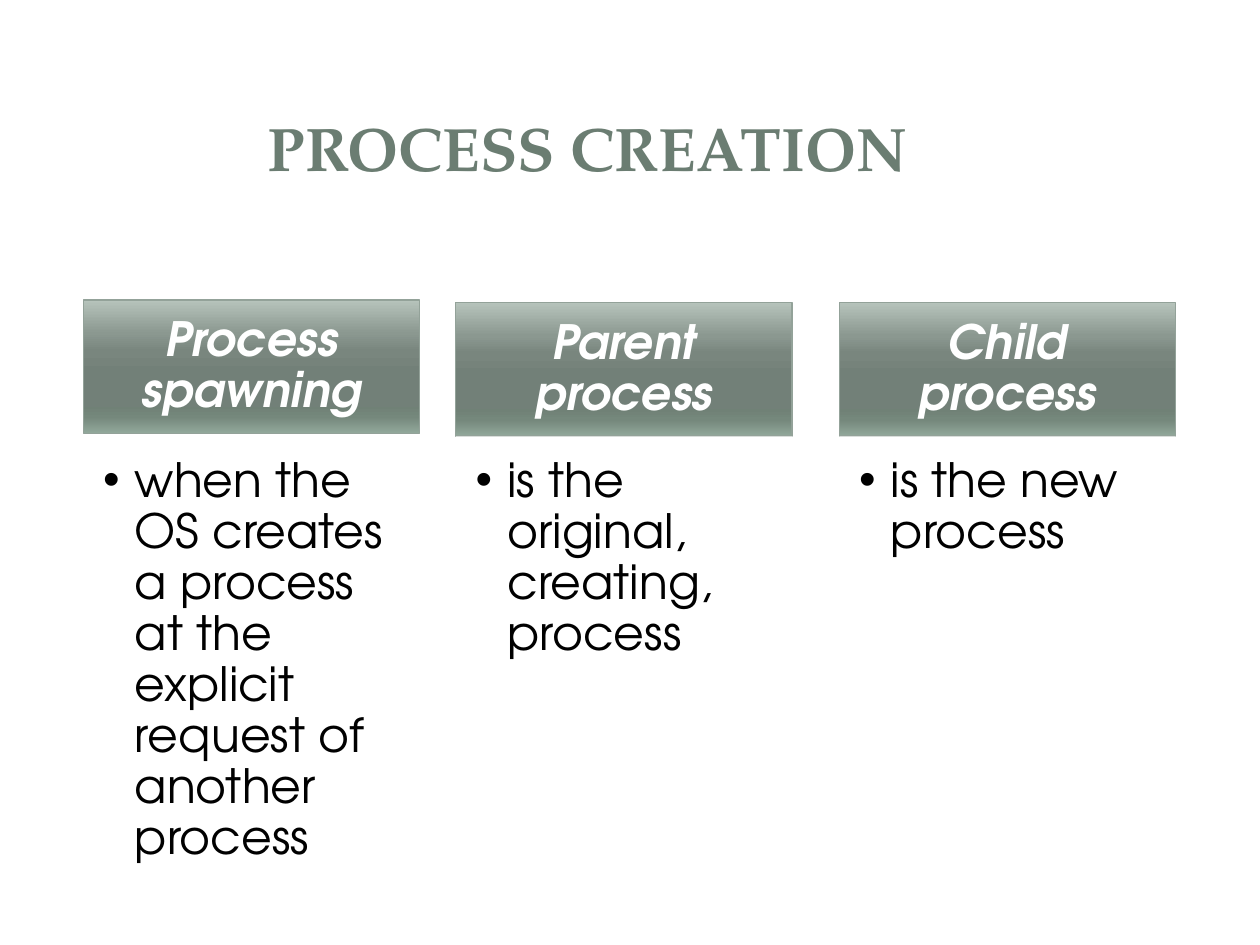
from collections import namedtuple
from dataclasses import dataclass

from lxml import etree
from pptx import Presentation
from pptx.dml.color import RGBColor
from pptx.enum.shapes import MSO_SHAPE
from pptx.enum.text import MSO_ANCHOR, PP_ALIGN
from pptx.oxml.ns import qn
from pptx.util import Cm, Pt

RECTANGLE = MSO_SHAPE.RECTANGLE
CENTER, LEFT = PP_ALIGN.CENTER, PP_ALIGN.LEFT
MIDDLE, TOP = MSO_ANCHOR.MIDDLE, MSO_ANCHOR.TOP

Box = namedtuple("Box", "left top width height")  # centimetres


@dataclass(frozen=True)
class Theme:
    heading_font: str = "TeX Gyre Pagella"
    body_font: str = "TeX Gyre Adventor"
    title_size: int = 35
    text_size: int = 27
    title: str = "6B7D72"
    paper: str = "FFFFFF"
    ink: str = "000000"
    outline: str = "93A299"
    header_stops: tuple = (
        (0, "B6C3BB"), (25, "8B9890"), (38, "79867E"), (55, "728078"),
        (80, "708176"), (88, "75887C"), (100, "91A79A"),
    )


THEME = Theme()
COLUMN_WIDTH, HEADER_HEIGHT = 6.78, 2.69
BODY_TOP, BODY_HEIGHT = 8.8, 9.27
COLUMNS = (
    (1.68, 6.05, "Process spawning",
     "when the OS creates a process at the explicit request of another process"),
    (9.19, 6.1, "Parent process", "is the original, creating, process"),
    (16.92, 6.1, "Child process", "is the new process"),
)


def fill_gradient(shape, stops):
    """Fill from top to bottom with (percent, colour) stops."""
    shape.fill.gradient()
    gradient = shape.fill._fill._gradFill
    stop_list = gradient.find(qn("a:gsLst"))
    for old_stop in list(stop_list):
        stop_list.remove(old_stop)
    for percent, colour in stops:
        stop = etree.SubElement(stop_list, qn("a:gs"), pos=str(percent * 1000))
        etree.SubElement(stop, qn("a:srgbClr"), val=colour)
    direction = gradient.find(qn("a:lin"))
    direction.set("ang", "5400000")
    direction.set("scaled", "0")


def write(shape, text, font, size, colour, align, anchor, insets, bold=False, italic=False):
    """Write one paragraph; insets are left, top, right, bottom in centimetres."""
    frame = shape.text_frame
    frame.word_wrap = True
    frame.vertical_anchor = anchor
    (frame.margin_left, frame.margin_top,
     frame.margin_right, frame.margin_bottom) = map(Cm, insets)
    paragraph = frame.paragraphs[0]
    paragraph.text = text
    paragraph.alignment = align
    paragraph.font.name = font
    paragraph.font.size = Pt(size)
    paragraph.font.bold = bold
    paragraph.font.italic = italic
    paragraph.font.color.rgb = RGBColor.from_string(colour)
    return paragraph


def add_bullet(paragraph, indent):
    properties = paragraph._p.get_or_add_pPr()
    properties.set("marL", str(Cm(indent)))
    properties.set("indent", str(-Cm(indent)))
    etree.SubElement(properties, qn("a:buFont"), typeface="Arial")
    etree.SubElement(properties, qn("a:buChar"), char="•")
    # The schema wants the bullet ahead of the default run properties.
    properties.append(properties.find(qn("a:defRPr")))


def add_rectangle(slide, box):
    rectangle = slide.shapes.add_shape(RECTANGLE, *map(Cm, box))
    rectangle.shadow.inherit = False
    return rectangle


def add_title(slide, box):
    title = slide.shapes.add_textbox(*map(Cm, box))
    write(title, "PROCESS CREATION", THEME.heading_font, THEME.title_size,
          THEME.title, CENTER, MIDDLE, (0.25, 0.13, 0.25, 0.13), bold=True)


def add_header(slide, box, term):
    header = add_rectangle(slide, box)
    fill_gradient(header, THEME.header_stops)
    header.line.color.rgb = RGBColor.from_string(THEME.outline)
    header.line.width = Pt(0.75)
    paragraph = write(header, term, THEME.body_font, THEME.text_size, THEME.paper,
                      CENTER, MIDDLE, (0.53, 0.3, 0.53, 0.3), bold=True, italic=True)
    paragraph.line_spacing = 0.9


def add_definition(slide, box, meaning):
    definition = add_rectangle(slide, box)
    definition.fill.solid()
    definition.fill.fore_color.rgb = RGBColor.from_string(THEME.paper)
    definition.line.fill.background()
    paragraph = write(definition, meaning, THEME.body_font, THEME.text_size, THEME.ink,
                      LEFT, TOP, (0.4, 0.4, 0.53, 0.6))
    paragraph.line_spacing = 0.9
    add_bullet(paragraph, 0.64)


def main():
    presentation = Presentation()
    presentation.slide_width, presentation.slide_height = Cm(25.4), Cm(19.05)
    slide = presentation.slides.add_slide(presentation.slide_layouts[6])
    add_title(slide, Box(0, 1.27, 23.7, 3.4))
    for left, top, term, meaning in COLUMNS:
        add_header(slide, Box(left, top, COLUMN_WIDTH, HEADER_HEIGHT), term)
        add_definition(slide, Box(left, BODY_TOP, COLUMN_WIDTH, BODY_HEIGHT), meaning)
    presentation.save("out.pptx")


if __name__ == "__main__":
    main()
